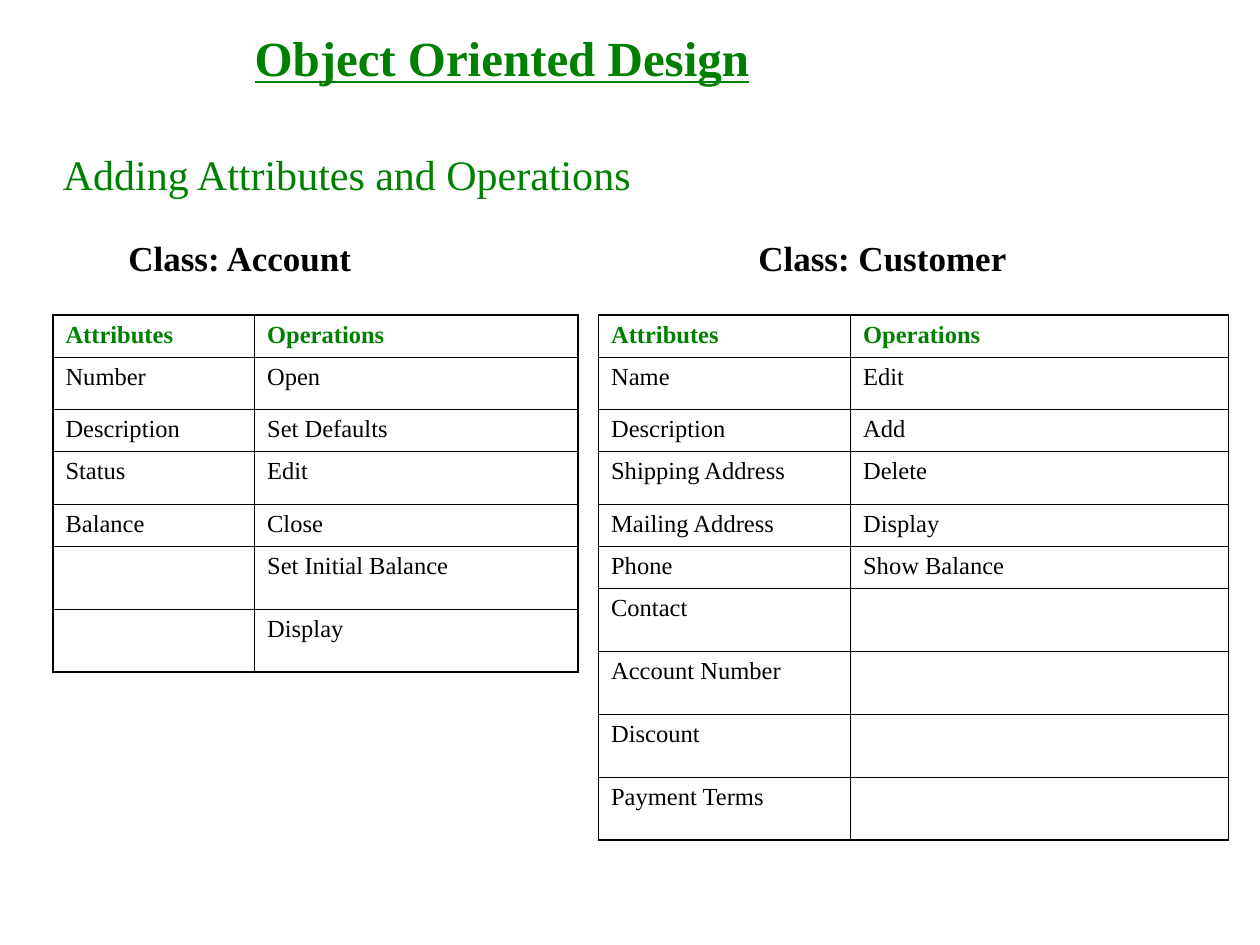
"""Build the slide on attributes and operations of two classes."""
import itertools

import lxml.etree
import pptx
import pptx.dml.color
import pptx.enum.text
import pptx.oxml.ns
import pptx.util

WIDTH, HEIGHT = 10, 7.5
FONT = "Times New Roman"
GREEN, BLACK = "008000", "000000"
TITLE = "Object Oriented Design"
SUBTITLE = "Adding Attributes and Operations"
CLASSES = ("Account", "Customer")
HEADINGS = ("Attributes", "Operations")
TABLES = [
    {
        "left": 0.42, "cols": (1.6, 2.57),
        "Attributes": ["Number", "Description", "Status", "Balance"],
        "Operations": ["Open", "Set Defaults", "Edit", "Close",
                       "Set Initial Balance", "Display"],
    },
    {
        "left": 4.75, "cols": (2, 3),
        "Attributes": ["Name", "Description", "Shipping Address",
                       "Mailing Address", "Phone", "Contact",
                       "Account Number", "Discount", "Payment Terms"],
        "Operations": ["Edit", "Add", "Delete", "Display", "Show Balance"],
    },
]
TABLE_TOP = HEIGHT / 3
ROW, TALL_ROW, OPEN_ROW = 0.335, 0.415, 0.5
TALL_INDEXES = (1, 3)
THICK, THIN = 1.08, 0.45
TAB_STOP = WIDTH / 2

inch = pptx.util.Inches


def color(value):
    return pptx.dml.color.RGBColor.from_string(value)


def child(parent, tag, **attrs):
    el = lxml.etree.SubElement(parent, pptx.oxml.ns.qn(tag))
    for name, value in attrs.items():
        el.set(name, str(value))
    return el


def write(tf, text, size, fill=BLACK, bold=False, underline=False, tab=None):
    p = tf.paragraphs[0]
    p.alignment = pptx.enum.text.PP_ALIGN.LEFT
    if tab:
        tabs = child(p._p.get_or_add_pPr(), "a:tabLst")
        child(tabs, "a:tab", pos=int(inch(tab)), algn="l")
    p.font.size = pptx.util.Pt(size)
    if not text:
        return
    r = p.add_run()
    r.text = text
    r.font.name, r.font.size = FONT, pptx.util.Pt(size)
    r.font.bold, r.font.underline = bold, underline
    r.font.color.rgb = color(fill)


def add_text(s, text, box, size, **style):
    tf = s.shapes.add_textbox(*map(inch, box)).text_frame
    tf.word_wrap = False
    write(tf, text, size, **style)


def add_title(s):
    sp = s.shapes.title
    sp.left, sp.top, sp.width, sp.height = map(inch, (1.92, 0.17, 4.25, 0.57))
    tf = sp.text_frame
    tf.auto_size = pptx.enum.text.MSO_AUTO_SIZE.NONE
    tf.vertical_anchor = pptx.enum.text.MSO_ANCHOR.TOP
    write(tf, TITLE, 28, fill=GREEN, bold=True, underline=True)


def set_borders(cell, outer):
    props = cell._tc.get_or_add_tcPr()
    for side in "LRTB":
        width = pptx.util.Pt(THICK if outer[side] else THIN)
        line = child(props, f"a:ln{side}", w=int(width))
        child(child(line, "a:solidFill"), "a:srgbClr", val=BLACK)


def add_table(s, data):
    rows = [HEADINGS, *itertools.zip_longest(
        *(data[name] for name in HEADINGS), fillvalue="")]
    heights = [OPEN_ROW if not all(row) else TALL_ROW if i in TALL_INDEXES
               else ROW for i, row in enumerate(rows)]
    box = (data["left"], TABLE_TOP, sum(data["cols"]), sum(heights))
    table = s.shapes.add_table(len(rows), len(HEADINGS), *map(inch, box)).table
    table.first_row = table.horz_banding = False
    for col, width in zip(table.columns, data["cols"]):
        col.width = inch(width)
    for i, (row, height) in enumerate(zip(rows, heights)):
        table.rows[i].height = inch(height)
        for j, text in enumerate(row):
            cell = table.cell(i, j)
            set_borders(cell, {"L": j == 0, "R": j == len(row) - 1,
                               "T": i == 0, "B": i == len(rows) - 1})
            cell.fill.background()
            write(cell.text_frame, text, 14, bold=i == 0,
                  fill=BLACK if i else GREEN)


def main():
    prs = pptx.Presentation()
    prs.slide_width, prs.slide_height = inch(WIDTH), inch(HEIGHT)
    s = prs.slides.add_slide(prs.slide_layouts[5])
    add_title(s)
    add_text(s, SUBTITLE, (0.4, 1.13, 4.72, 0.5), 24, fill=GREEN)
    add_text(s, "\t".join(f"Class: {name}" for name in CLASSES),
             (0.92, 1.83, 7.17, 0.44), 20, bold=True, tab=TAB_STOP)
    for data in TABLES:
        add_table(s, data)
    prs.save("out.pptx")


if __name__ == "__main__":
    main()
